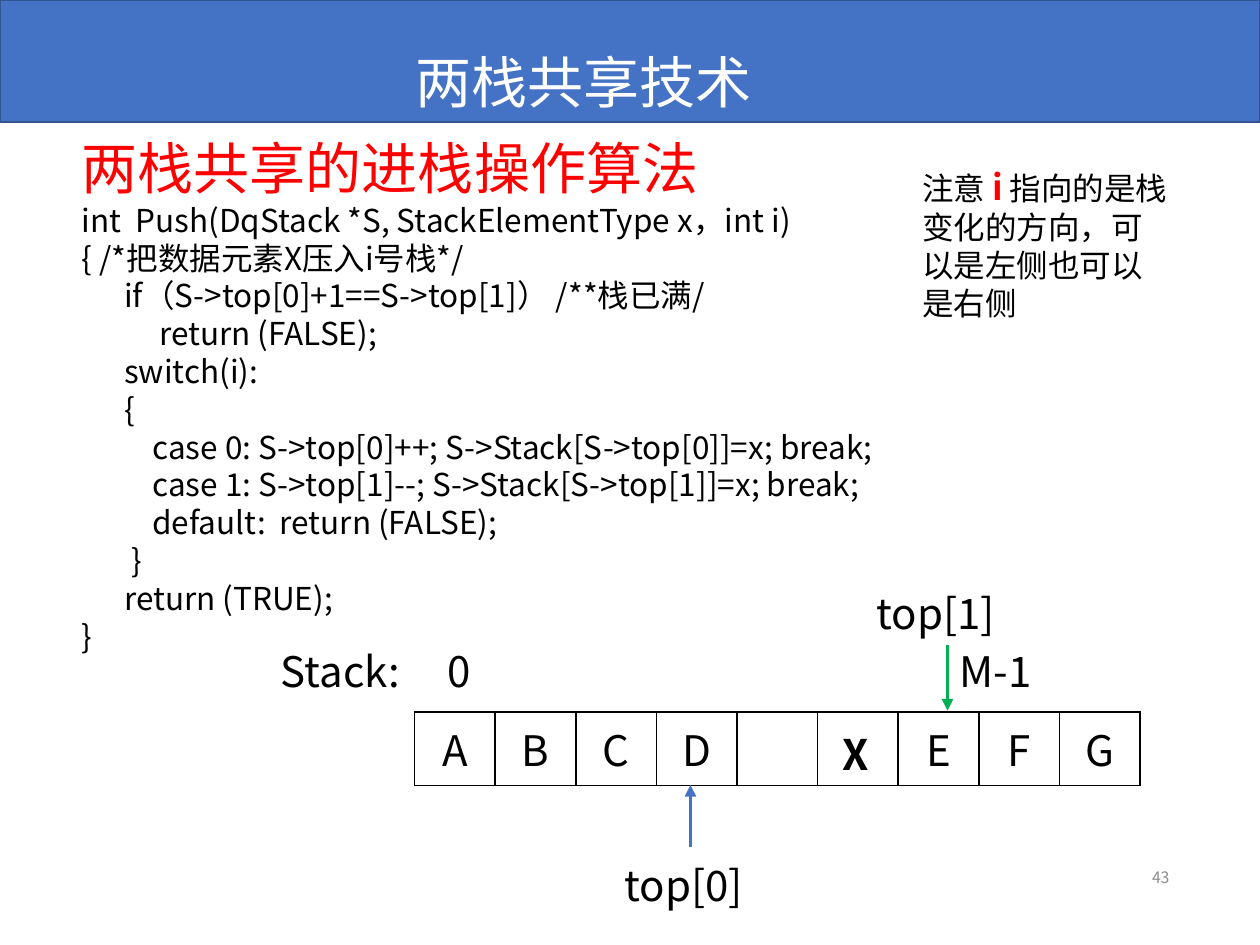
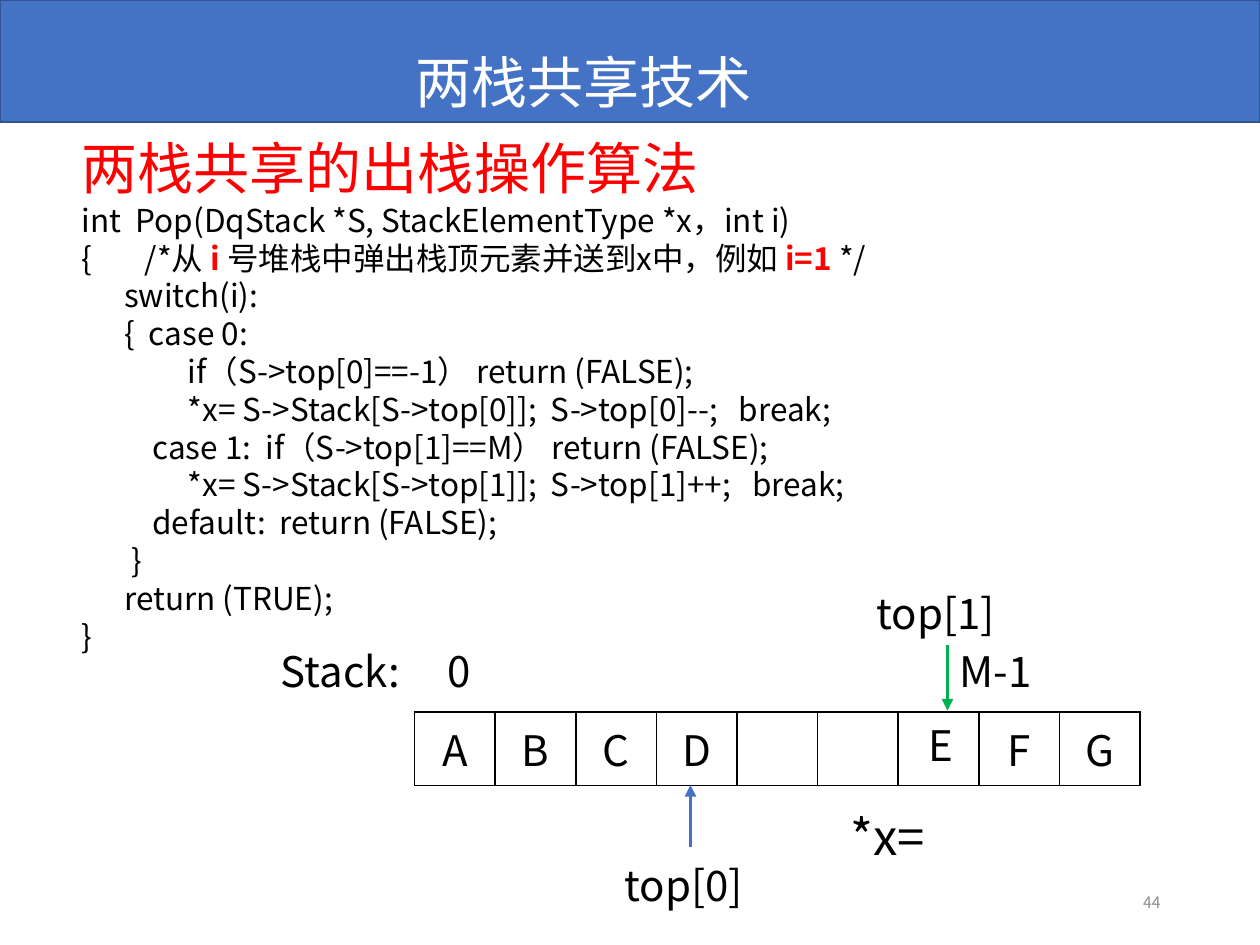
"""Build two slides on pushing to and popping from a pair of shared stacks."""
from lxml import etree
from pptx import Presentation
from pptx.dml.color import RGBColor
from pptx.enum.shapes import MSO_CONNECTOR, MSO_SHAPE
from pptx.enum.text import MSO_ANCHOR, MSO_AUTO_SIZE, PP_ALIGN
from pptx.oxml.ns import qn
from pptx.util import Inches, Pt

LEFT, MID, RIGHT = PP_ALIGN.LEFT, PP_ALIGN.CENTER, PP_ALIGN.RIGHT
TOP, CENTRE = MSO_ANCHOR.TOP, MSO_ANCHOR.MIDDLE
NO_FIT, RECT, LINE = MSO_AUTO_SIZE.NONE, MSO_SHAPE.RECTANGLE, MSO_CONNECTOR.STRAIGHT

FACE = "Noto Sans CJK SC"
BLACK, WHITE, RED, GREY = "000000", "FFFFFF", "FF0000", "8C8C8C"
BLUE, EDGE, GREEN = "4472C4", "325491", "00B050"
WIDE, HIGH, BAND = 10, 7.5, 0.97
GRID_X, GRID_Y, CELL, ROW = 3.29, 5.65, 0.64, 0.58
LEAD, BOX, TAB = 1.2, 0.5, 2.38

TITLE = "两栈共享技术"
TAIL = ["          default:  return (FALSE);", "       }", "      return (TRUE);", "}"]
LABELS = [
    ("top[0]", 4.86, 6.75, 1.25),
    ("top[1]", 6.86, 4.59, 1.33),
    ("Stack:", 2.13, 5.05, 1.3),
    ("0", 3.45, 5.05, 0.5),
    ("M-1", 7.52, 5.05, 1),
]
ARROWS = [(5.48, 6.72, 6.23, BLUE), (7.52, 5.12, 5.64, GREEN)]

SLIDES = [
    {
        "head": "两栈共享的进栈操作算法",
        "code": [
            "int  Push(DqStack *S, StackElementType x，int i)",
            "{ /*把数据元素X压入i号栈*/",
            "      if（S->top[0]+1==S->top[1]） /**栈已满/",
            "           return (FALSE);",
            "      switch(i):",
            "      {",
            "          case 0: S->top[0]++; S->Stack[S->top[0]]=x; break;",
            "          case 1: S->top[1]--; S->Stack[S->top[1]]=x; break;",
        ],
        "cells": ["A", "B", "C", "D", "", "", "E", "F", "G"],
        "float": [("X", 6.59, 5.71, 0.35, 24, True)],
        "note": ("注意 ", "i", " 指向的是栈变化的方向，可以是左侧也可以是右侧"),
        "page": ("43", 7.13, 6.75),
    },
    {
        "head": "两栈共享的出栈操作算法",
        "code": [
            "int  Pop(DqStack *S, StackElementType *x，int i)",
            ("{\t/*从 ", "i ", "号堆栈中弹出栈顶元素并送到x中，例如 ", "i=1 ", "*/"),
            "      switch(i):",
            "      {  case 0:",
            "               if（S->top[0]==-1） return (FALSE);",
            "               *x= S->Stack[S->top[0]];  S->top[0]--;   break;",
            "          case 1:  if（S->top[1]==M） return (FALSE);",
            "               *x= S->Stack[S->top[1]];  S->top[1]++;   break;",
        ],
        "cells": ["A", "B", "C", "D", "", "", "", "F", "G"],
        "float": [("E", 7.27, 5.64, 0.36, 24, False), ("*x=", 6.65, 6.33, 0.8, 28, False)],
        "page": ("44", 7.06, 6.95),
    },
]


def paint(part, color):
    part.solid()
    part.fore_color.rgb = RGBColor.from_string(color)


def style(para, size, color=BLACK, align=LEFT, lead=LEAD, bold=False):
    para.alignment = align
    if lead:
        para.line_spacing = Pt(round(size * lead, 1))
        para.space_before = para.space_after = Pt(0)
    font = para.font
    font.size, font.bold, font.name = Pt(size), bold, FACE
    paint(font.fill, color)
    props = para._p.pPr.find(qn("a:defRPr"))
    etree.SubElement(props, qn("a:ea"), typeface=FACE)


def write(para, text, hot=None):
    parts = (text,) if isinstance(text, str) else text
    for i, part in enumerate(parts):
        run = para.add_run()
        run.text = part
        if i % 2:
            run.font.bold = True
            paint(run.font.fill, RED)
            if hot:
                run.font.size = Pt(hot)


def frame(shape, anchor=TOP):
    text = shape.text_frame
    text.word_wrap, text.auto_size = True, NO_FIT
    text.vertical_anchor = anchor
    text.margin_top = Inches(0.07)
    return text


def place(shape, *spot):
    shape.left, shape.top, shape.width, shape.height = map(Inches, spot)


def label(slide, text, x, y, w, size=24, bold=False, h=BOX, color=BLACK,
          align=LEFT, anchor=TOP, hot=None):
    box = slide.shapes.add_textbox(*map(Inches, (x, y, w, h)))
    para = frame(box, anchor).paragraphs[0]
    style(para, size, color, align, bold=bold)
    write(para, text, hot)


def band(slide):
    bar = slide.shapes.add_shape(RECT, 0, 0, Inches(WIDE), Inches(BAND))
    bar.shadow.inherit = False
    paint(bar.fill, BLUE)
    paint(bar.line.fill, EDGE)
    bar.line.width = Pt(1)
    slide.shapes._spTree.insert(2, bar._element)
    title = slide.shapes.title
    place(title, 1.23, 0.04, 6.8, 0.81)
    para = frame(title).paragraphs[0]
    style(para, 32, WHITE, MID, LEAD * 1.5)
    write(para, TITLE)


def code(slide, head, lines):
    body = slide.placeholders[1]
    place(body, 0.55, 0.99, WIDE - 0.55, 4.27)
    text = frame(body)
    for i, line in enumerate([head] + lines):
        para = text.add_paragraph() if i else text.paragraphs[0]
        props = para._p.get_or_add_pPr()
        props.set("marL", "0")
        props.set("indent", "0")
        etree.SubElement(props, qn("a:buNone"))
        tabs = etree.SubElement(props, qn("a:tabLst"))
        etree.SubElement(tabs, qn("a:tab"), pos=str(Inches(TAB)), algn="l")
        style(para, 18 if i else 32, BLACK if i else RED)
        write(para, line)


def border(cell):
    props = cell._tc.get_or_add_tcPr()
    for side in ("lnL", "lnR", "lnT", "lnB"):
        line = etree.SubElement(props, qn("a:" + side), w=str(Pt(1)))
        fill = etree.SubElement(line, qn("a:solidFill"))
        etree.SubElement(fill, qn("a:srgbClr"), val=BLACK)


def stack(slide, items):
    spot = GRID_X, GRID_Y, CELL * len(items), ROW
    table = slide.shapes.add_table(1, len(items), *map(Inches, spot)).table
    table.first_row = table.horz_banding = False
    for i, item in enumerate(items):
        table.columns[i].width = Inches(CELL)
        cell = table.cell(0, i)
        border(cell)
        paint(cell.fill, WHITE)
        para = cell.text_frame.paragraphs[0]
        if item:
            style(para, 24, align=MID, lead=None)
            write(para, item)


def arrow(slide, x, start, end, color):
    line = slide.shapes.add_connector(LINE, *map(Inches, (x, start, x, end)))
    paint(line.line.fill, color)
    line.line.width = Pt(2.25)
    etree.SubElement(line.line._get_or_add_ln(), qn("a:tailEnd"), type="triangle")
    etree.SubElement(line._element.spPr, qn("a:effectLst"))


def main():
    deck = Presentation()
    deck.slide_width, deck.slide_height = Inches(WIDE), Inches(HIGH)
    for data in SLIDES:
        slide = deck.slides.add_slide(deck.slide_layouts[1])
        band(slide)
        code(slide, data["head"], data["code"] + TAIL)
        stack(slide, data["cells"])
        for item in LABELS + data["float"]:
            label(slide, *item)
        for item in ARROWS:
            arrow(slide, *item)
        if "note" in data:
            label(slide, data["note"], 7.22, 1.28, 2.17, 18, h=1.35, hot=20)
        label(slide, *data["page"], 2.25, 9, h=0.4, color=GREY, align=RIGHT, anchor=CENTRE)
    deck.save("out.pptx")


if __name__ == "__main__":
    main()
